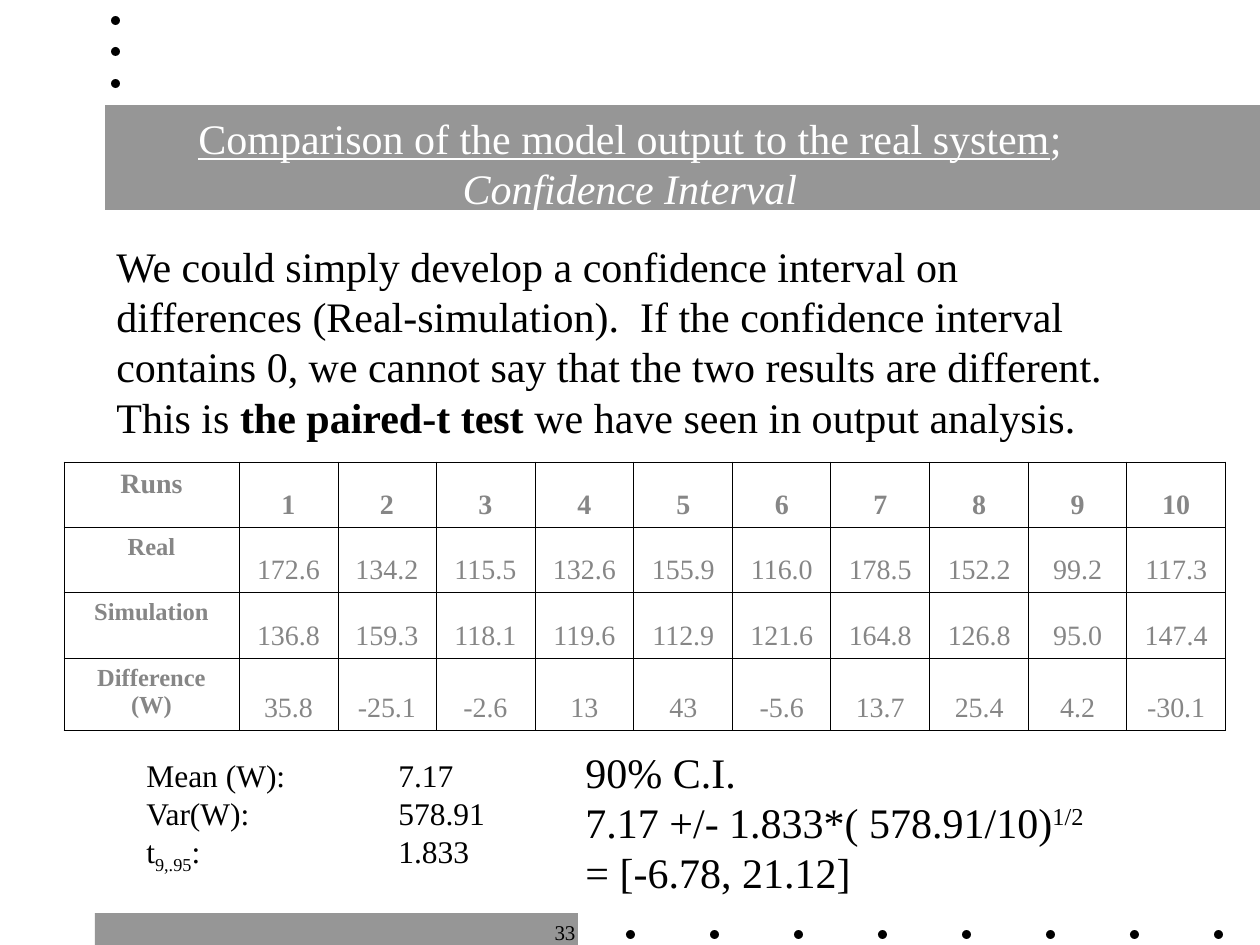
from dataclasses import dataclass
from typing import Any

import pptx
import pptx.dml.color
import pptx.enum.shapes
import pptx.enum.text
import pptx.oxml
import pptx.oxml.ns
import pptx.util

Align = pptx.enum.text.PP_ALIGN
Anchor = pptx.enum.text.MSO_ANCHOR
Fit = pptx.enum.text.MSO_AUTO_SIZE
Form = pptx.enum.shapes.MSO_SHAPE
SCALE = 914400 / 126


@dataclass(frozen=True)
class Theme:
    font: str = "Times New Roman"
    black: str = "000000"
    white: str = "FFFFFF"
    band: str = "969696"
    grid: str = "868686"
    large: int = 24
    mid: int = 18
    cell: int = 16
    label: int = 14
    small: int = 12


@dataclass(frozen=True)
class Box:
    left: int
    top: int
    width: int
    height: int

    def emu(self) -> list[pptx.util.Emu]:
        return [px(n) for n in (self.left, self.top, self.width, self.height)]


@dataclass(frozen=True)
class Run:
    text: str
    bold: bool | None = None
    italic: bool | None = None
    under: bool | None = None
    base: int = 0


@dataclass(frozen=True)
class Block:
    box: Box
    lines: list[list[Run]]
    size: int
    color: str
    align: Any = Align.LEFT
    anchor: Any = Anchor.TOP
    before: float = 0
    wrap: bool = True
    fit: Any = Fit.SHAPE_TO_FIT_TEXT
    tabs: tuple[int, ...] = ()


THEME = Theme()


def px(count: int) -> pptx.util.Emu:
    return pptx.util.Emu(round(count * SCALE))


def rgb(color: str) -> pptx.dml.color.RGBColor:
    return pptx.dml.color.RGBColor.from_string(color)


def style(para: Any, size: int, color: str, align: Any, before: float = 0) -> None:
    para.alignment = align
    para.space_before = pptx.util.Pt(before)
    para.font.name = THEME.font
    para.font.size = pptx.util.Pt(size)
    para.font.color.rgb = rgb(color)


def draw_shape(slide: Any, form: Any, box: Box, color: str) -> None:
    shape = slide.shapes.add_shape(form, *box.emu())
    shape.shadow.inherit = False
    shape.fill.solid()
    shape.fill.fore_color.rgb = rgb(color)
    shape.line.fill.background()


def draw_run(para: Any, part: Run) -> None:
    for index, text in enumerate(part.text.split("\n")):
        if index:
            para.add_line_break()
        run = para.add_run()
        run.text = text
        run.font.bold = part.bold
        run.font.italic = part.italic
        run.font.underline = part.under
        if part.base:
            run.font._element.set("baseline", str(part.base * 1000))


def set_tabs(para: Any, stops: tuple[int, ...]) -> None:
    marks = "".join(f'<a:tab pos="{px(stop)}" algn="l"/>' for stop in stops)
    space = pptx.oxml.ns.nsdecls("a")
    tabs = pptx.oxml.parse_xml(f"<a:tabLst {space}>{marks}</a:tabLst>")
    para.font._element.addprevious(tabs)


def draw_text(slide: Any, block: Block) -> None:
    frame = slide.shapes.add_textbox(*block.box.emu()).text_frame
    frame.word_wrap = block.wrap
    frame.auto_size = block.fit
    frame.vertical_anchor = block.anchor
    for index, line in enumerate(block.lines):
        para = frame.add_paragraph() if index else frame.paragraphs[0]
        before = 0 if index else block.before
        style(para, block.size, block.color, block.align, before)
        if block.tabs:
            set_tabs(para, block.tabs)
        for part in line:
            draw_run(para, part)


def edge(cell: Any) -> None:
    props = cell._tc.get_or_add_tcPr()
    space = pptx.oxml.ns.nsdecls("a")
    for index, side in enumerate(("lnL", "lnR", "lnT", "lnB")):
        line = pptx.oxml.parse_xml(
            f'<a:{side} {space} w="5715"><a:solidFill>'
            f'<a:srgbClr val="{THEME.black}"/></a:solidFill></a:{side}>'
        )
        props.insert(index, line)


def draw_table(slide: Any, box: Box, rows: list[list[str]],
               first: int, heights: list[int]) -> None:
    count = len(rows[0])
    table = slide.shapes.add_table(len(rows), count, *box.emu()).table
    table.first_row = False
    table.horz_banding = False
    rest = box.width - first
    edges = [first + round(rest * i / (count - 1)) for i in range(count)]
    for col, left, right in zip(table.columns, [0] + edges, edges):
        col.width = px(right - left)
    for y, (row, height) in enumerate(zip(rows, heights)):
        table.rows[y].height = px(height)
        for x, text in enumerate(row):
            cell = table.cell(y, x)
            cell.text = text
            cell.fill.background()
            cell.vertical_anchor = Anchor.BOTTOM if x else Anchor.TOP
            size = THEME.label if y and not x else THEME.cell
            before = 0 if x or y else 4
            para = cell.text_frame.paragraphs[0]
            style(para, size, THEME.grid, Align.CENTER, before)
            para.font.bold = not (x and y)
            edge(cell)


BANDS = [Box(95, 913, 483, 32), Box(105, 105, 1155, 105)]
DOTS = [Box(626 + 84 * i, 930, 9, 9) for i in range(8)]
DOTS += [Box(111, 16 + 63 * i // 2, 9, 9) for i in range(3)]

BLOCKS = [
    Block(Box(525, 913, 63, 32), [[Run("33")]], THEME.small, THEME.black,
          align=Align.RIGHT, fit=Fit.NONE),
    Block(Box(95, 84, 1070, 157), [[
        Run("Comparison of the model output to the real system", under=True),
        Run("; "), Run("Confidence Interval", italic=True),
    ]], THEME.large, THEME.white, Align.CENTER, Anchor.MIDDLE, fit=Fit.NONE),
    Block(Box(104, 234, 1057, 214), [[
        Run("We could simply develop a confidence interval on differences "
            "(Real-simulation).  If the confidence interval contains 0, we "
            "cannot say that the two results are different. This is "),
        Run("the paired-t test", bold=True),
        Run(" we have seen in output analysis."),
    ]], THEME.large, THEME.black, before=15),
    Block(Box(134, 750, 506, 131), [[
        Run("Mean (W):\t7.17\nVar(W):\t\t578.91\nt"),
        Run("9,.95", base=-25), Run(":\t\t1.833"),
    ]], THEME.mid, THEME.black, before=11.2, tabs=(126, 252)),
    Block(Box(573, 740, 523, 164), [
        [Run("90% C.I.")],
        [Run("7.17 +/- 1.833*( 578.91/10)"), Run("1/2", base=30)],
        [Run("= [-6.78, 21.12]")],
    ], THEME.large, THEME.black, wrap=False),
]

ROWS = [
    ["Runs"] + [str(n) for n in range(1, 11)],
    "Real 172.6 134.2 115.5 132.6 155.9 116.0 178.5 152.2 99.2 117.3".split(),
    "Simulation 136.8 159.3 118.1 119.6 112.9 121.6 164.8 126.8 95.0 147.4".split(),
    ["Difference (W)"] + "35.8 -25.1 -2.6 13 43 -5.6 13.7 25.4 4.2 -30.1".split(),
]

deck = pptx.Presentation()
deck.slide_width, deck.slide_height = px(1260), px(945)
slide = deck.slides.add_slide(deck.slide_layouts[6])
for band in BANDS:
    draw_shape(slide, Form.RECTANGLE, band, THEME.band)
for dot in DOTS:
    draw_shape(slide, Form.OVAL, dot, THEME.black)
for block in BLOCKS:
    draw_text(slide, block)
draw_table(slide, Box(64, 462, 1162, 268), ROWS, 175, [65, 65, 66, 72])
deck.save("out.pptx")
